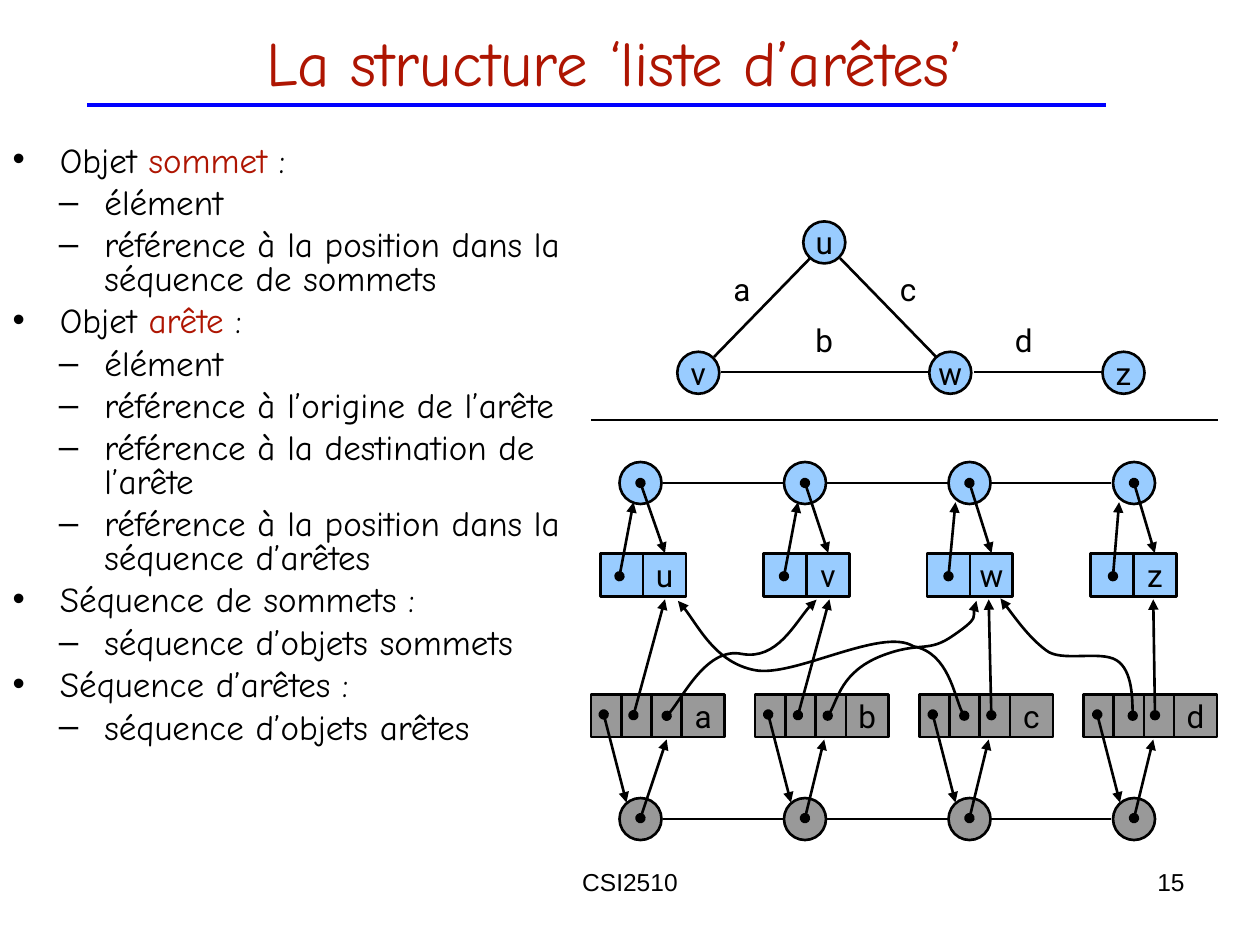
from pptx import Presentation
from pptx.dml.color import RGBColor as RGB
from pptx.enum.shapes import MSO_CONNECTOR as Conn, MSO_SHAPE as Kind
from pptx.enum.text import MSO_ANCHOR as Anchor, MSO_AUTO_SIZE as Fit, PP_ALIGN as Align
from pptx.oxml import parse_xml
from pptx.oxml.ns import nsdecls, qn
from pptx.util import Pt

BLACK = RGB(0, 0, 0)
RED = RGB(0xAE, 0x15, 0x02)
BLUE = RGB(0, 0, 0xFF)
SKY = RGB(0x99, 0xCC, 0xFF)
GREY = RGB(0x99, 0x99, 0x99)
NODE = 24
CELL = 24.5
SLOT = 17.3

LIST = [
    (0, "Objet ", "sommet", " :"),
    (1, "élément"),
    (1, "référence à la position dans la séquence de sommets"),
    (0, "Objet ", "arête", " :"),
    (1, "élément"),
    (1, "référence à l’origine de l’arête"),
    (1, "référence à la destination de l’arête"),
    (1, "référence à la position dans la séquence d’arêtes"),
    (0, "Séquence de sommets :"),
    (1, "séquence d’objets sommets"),
    (0, "Séquence d’arêtes :"),
    (1, "séquence d’objets arêtes"),
]

CURVES = [
    [(381, 409), (388, 403), (404, 369.4), (424, 373.7),
     (444, 377.3), (458, 349.2), (466.6, 342.7)],
    [(473, 409), (478, 403), (481, 384), (503.3, 375),
     (526.3, 366), (530, 373.7), (545, 363),
     (560, 352.8), (555, 348), (558, 343.4)],
    [(551, 409), (546, 402.5), (542, 373), (522, 369.4),
     (504, 358), (453.6, 387.4), (431.3, 383),
     (409, 378.7), (396, 352), (387.4, 343.4)],
    [(647.3, 409), (647.3, 409), (647.3, 383), (638, 377.3),
     (628.6, 371.5), (606, 378.7), (597.6, 371.5),
     (588, 364.3), (576.7, 348.5), (571.7, 342)],
]


def put(para, text, size=18, face="Roboto", color=BLACK, align=None):
    run = para.add_run()
    run.text = text
    run.font.size = Pt(size)
    run.font.name = face
    run.font.color.rgb = color
    if align is not None:
        para.alignment = align


def mark(item, tag, **attrs):
    words = " ".join(f'{key}="{val}"' for key, val in attrs.items())
    item.append(parse_xml(f'<a:{tag} {nsdecls("a")} {words}/>'))


class Board:
    face = "Comic Neue"
    width = 1.5

    def __init__(self, slide):
        self.slide = slide
        self.shapes = slide.shapes

    def place(self, item, x, y, w, h):
        item.left, item.top, item.width, item.height = Pt(x), Pt(y), Pt(w), Pt(h)
        frame = item.text_frame
        frame.auto_size = Fit.NONE
        frame.word_wrap = True
        return frame

    def title(self, text):
        frame = self.place(self.shapes.title, 30, -10, 642, 90)
        frame.vertical_anchor = Anchor.MIDDLE
        put(frame.paragraphs[0], text, size=36, face=self.face, color=RED,
            align=Align.CENTER)

    def bullets(self, rows):
        frame = self.place(self.slide.placeholders[1], 0, 80, 332, 392.5)
        frame.vertical_anchor = Anchor.TOP
        for num, (level, *parts) in enumerate(rows):
            para = frame.add_paragraph() if num else frame.paragraphs[0]
            para.level = level
            para.line_spacing = 0.8
            para.space_before = Pt(5 if num else 0)
            prop = para._p.get_or_add_pPr()
            left, hang = ((27, 27), (52.5, 26))[level]
            prop.set("marL", str(Pt(left)))
            prop.set("indent", str(-Pt(hang)))
            mark(prop, "buFont", typeface="Arial")
            mark(prop, "buChar", char="•–"[level])
            for spot, part in enumerate(parts):
                put(para, part, size=20, face=self.face,
                    color=RED if spot == 1 else BLACK, align=Align.LEFT)

    def label(self, text, x, y, w, h, wrap=True, **style):
        frame = self.shapes.add_textbox(Pt(x), Pt(y), Pt(w), Pt(h)).text_frame
        frame.word_wrap = wrap
        if not wrap:
            frame.auto_size = Fit.SHAPE_TO_FIT_TEXT
        put(frame.paragraphs[0], text, **style)

    def block(self, kind, x, y, w, h, fill, text=""):
        item = self.shapes.add_shape(kind, Pt(x), Pt(y), Pt(w), Pt(h))
        item.shadow.inherit = False
        item.fill.solid()
        item.fill.fore_color.rgb = fill
        item.line.color.rgb = BLACK
        item.line.width = Pt(self.width)
        if text:
            frame = item.text_frame
            frame.word_wrap = False
            frame.vertical_anchor = Anchor.MIDDLE
            put(frame.paragraphs[0], text, align=Align.CENTER)

    def node(self, x, y, fill, text=""):
        self.block(Kind.OVAL, x - NODE / 2, y - NODE / 2, NODE, NODE, fill, text)

    def cell(self, x, y, w, fill, text=""):
        self.block(Kind.RECTANGLE, x, y, w, CELL, fill, text)

    def ends(self, item):
        line = item._element.spPr.find(qn("a:ln"))
        mark(line, "headEnd", type="oval")
        mark(line, "tailEnd", type="triangle")

    def line(self, x, y, u, v, color=BLACK, width=None, arrow=False):
        item = self.shapes.add_connector(Conn.STRAIGHT, Pt(x), Pt(y), Pt(u), Pt(v))
        item.line.color.rgb = color
        item.line.width = Pt(width or self.width)
        if arrow:
            self.ends(item)
        mark(item._element.spPr, "effectLst")

    def arrow(self, x, y, u, v):
        self.line(x, y, u, v, arrow=True)

    def curve(self, points):
        spots = [(Pt(x), Pt(y)) for x, y in points]
        form = self.shapes.build_freeform(*spots[0])
        form.add_line_segments(spots[1:], close=False)
        item = form.convert_to_shape()
        item.shadow.inherit = False
        item.fill.background()
        item.line.color.rgb = BLACK
        item.line.width = Pt(self.width)
        self.ends(item)
        steps = list(item._element.iter(qn("a:lnTo")))
        for first, *rest in zip(steps[::3], steps[1::3], steps[2::3]):
            first.tag = qn("a:cubicBezTo")
            for step in rest:
                first.append(step[0])
                step.getparent().remove(step)


def graph(board):
    for name, x, y in (("v", 399, 213), ("u", 471, 138.5),
                       ("w", 543, 213), ("z", 642, 213)):
        board.node(x, y, SKY, name)
    for ends in ((480, 147.5, 535, 204), (463, 147.5, 408, 204),
                 (531, 212.5, 412, 212.5), (629.5, 212.5, 556.5, 212.5)):
        board.line(*ends)
    for name, x, y in (("a", 424, 151), ("c", 519, 151),
                       ("b", 471, 180), ("d", 585, 180)):
        board.label(name, x - 12.5, y, 25, 29, wrap=False, align=Align.CENTER)


def chains(board):
    for y, fill in ((276, SKY), (468, GREY)):
        board.line(635, y, 379, y)
        for col in range(4):
            board.node(366 + 94 * col, y, fill)
    for col, (vert, edge) in enumerate(zip("uvwz", "abcd")):
        x = 343 + 93.4 * col
        board.cell(x, 316.5, CELL, SKY)
        board.cell(x + CELL, 316.5, CELL, SKY, vert)
        x = 337.7 + 93.8 * col
        for slot in range(3):
            board.cell(x + SLOT * slot, 396.7, SLOT, GREY)
        board.cell(x + SLOT * 3, 396.7, CELL, GREY, edge)


def links(board):
    tips = zip((362, 456, 546, 639.5), (381, 471, 565, 659),
               (362, 456, 566.5, 660), (380, 474, 565, 659))
    for col, (ring, slot, tail, head) in enumerate(tips):
        x = 366 + 94 * col
        board.arrow(x, 276, 380 + 93.3 * col, 316)
        board.arrow(x - 12, 329.3, ring, 287)
        board.arrow(x - 21, 408.3, x - 8, 458.6)
        board.arrow(x, 467.5, slot, 422.6)
        board.arrow(tail, 408.7, head, 342.5)
    for points in CURVES:
        board.curve(points)


def main():
    deck = Presentation()
    deck.slide_width, deck.slide_height = Pt(720), Pt(540)
    board = Board(deck.slides.add_slide(deck.slide_layouts[1]))
    board.title("La structure ‘liste d’arêtes’")
    board.bullets(LIST)
    board.label("CSI2510", 246, 492, 228, 37.5, size=14, face="Arial", align=Align.CENTER)
    board.label("15", 516, 492, 168, 37.5, size=14, face="Arial", align=Align.RIGHT)
    graph(board)
    chains(board)
    links(board)
    board.line(338, 240, 696, 240, width=0.75)
    board.line(50, 60, 632, 60, color=BLUE, width=2.75)
    deck.save("out.pptx")


if __name__ == "__main__":
    main()
